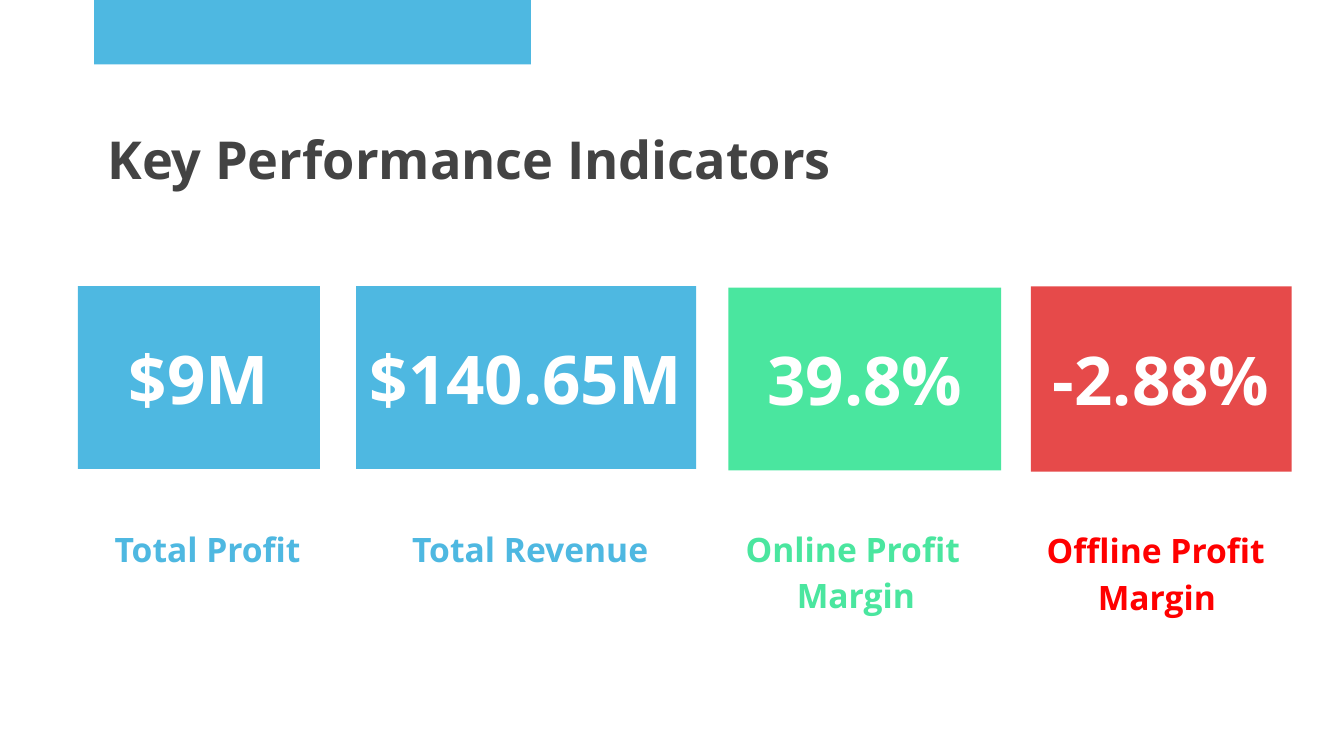
"""Build a slide of four key performance indicators."""
from typing import NamedTuple

from pptx import Presentation
from pptx import util as u
from pptx.dml.color import RGBColor
from pptx.enum import shapes, text

FONT = "Open Sans"
BLUE = RGBColor(0x4E, 0xB8, 0xE1)
GREEN = RGBColor(0x4A, 0xE6, 0x9F)
CORAL = RGBColor(0xE6, 0x4A, 0x4A)
RED = RGBColor(0xFF, 0x00, 0x00)
WHITE = RGBColor(0xFF, 0xFF, 0xFF)
GRAY = RGBColor(0x43, 0x43, 0x43)
CENTER, LEFT = text.PP_ALIGN.CENTER, text.PP_ALIGN.LEFT
TOP, MIDDLE = text.MSO_ANCHOR.TOP, text.MSO_ANCHOR.MIDDLE


class Box(NamedTuple):
    left: float
    top: float
    width: float
    height: float

    def lengths(self) -> list:
        return [u.Inches(side) for side in self]


class Kpi(NamedTuple):
    value: str
    card: Box
    fill: RGBColor
    label: str
    label_box: Box
    label_color: RGBColor
    label_align: text.PP_ALIGN


KPIS = [
    Kpi("$9M", Box(0.58, 2.13, 1.8, 1.36), BLUE,
        "Total Profit", Box(0.43, 3.79, 2.11, 0.42), BLUE, CENTER),
    Kpi("$140.65M", Box(2.65, 2.13, 2.53, 1.36), BLUE,
        "Total Revenue", Box(2.83, 3.79, 2.11, 0.42), BLUE, CENTER),
    Kpi("39.8%", Box(5.42, 2.14, 2.03, 1.36), GREEN,
        "Online Profit Margin", Box(5.33, 3.79, 2.11, 0.42), GREEN, LEFT),
    Kpi("-2.88%", Box(7.67, 2.13, 1.94, 1.38), CORAL,
        "Offline Profit Margin", Box(7.57, 3.8, 2.43, 0.42), RED, LEFT),
]


def write(shape, words: str, size: int, color: RGBColor, align=LEFT,
          anchor=TOP, wrap: bool = True):
    """Fill a shape with one bold paragraph and return the paragraph."""
    frame = shape.text_frame
    frame.auto_size = text.MSO_AUTO_SIZE.NONE
    frame.word_wrap = wrap
    frame.vertical_anchor = anchor
    frame.margin_left = frame.margin_right = u.Inches(0.1)
    frame.margin_top = frame.margin_bottom = u.Inches(0.1)
    paragraph = frame.paragraphs[0]
    paragraph.alignment = align
    run = paragraph.add_run()
    run.text = words
    run.font.name = FONT
    run.font.size = u.Pt(size)
    run.font.bold = True
    run.font.color.rgb = color
    return paragraph


def add_block(slide, box: Box, fill: RGBColor):
    """Add a plain filled rectangle."""
    block = slide.shapes.add_shape(shapes.MSO_SHAPE.RECTANGLE, *box.lengths())
    block.shadow.inherit = False
    block.fill.solid()
    block.fill.fore_color.rgb = fill
    block.line.fill.background()
    return block


def add_kpi(slide, kpi: Kpi) -> None:
    """Add a value card and the label below it."""
    card = add_block(slide, kpi.card, kpi.fill)
    write(card, kpi.value, 36, WHITE, CENTER, MIDDLE, wrap=False)
    label = slide.shapes.add_textbox(*kpi.label_box.lengths())
    paragraph = write(label, kpi.label, 18, kpi.label_color, kpi.label_align)
    paragraph.line_spacing = 1.15
    properties = paragraph._p.get_or_add_pPr()
    properties.set("marL", str(u.Inches(0.5)))
    properties.set("indent", str(u.Inches(-0.38)))


def main() -> None:
    """Build and save the slide."""
    deck = Presentation()
    deck.slide_width = u.Inches(10)
    deck.slide_height = deck.slide_width * 9 // 16
    slide = deck.slides.add_slide(deck.slide_layouts[5])
    title = slide.shapes.title
    title.left, title.top, title.width, title.height = Box(
        0.7, 0.85, 8.88, 0.68).lengths()
    write(title, "Key Performance Indicators", 28, GRAY)
    for kpi in KPIS:
        add_kpi(slide, kpi)
    add_block(slide, Box(0.7, 0, 3.25, 0.48), BLUE)
    deck.save("out.pptx")


if __name__ == "__main__":
    main()
